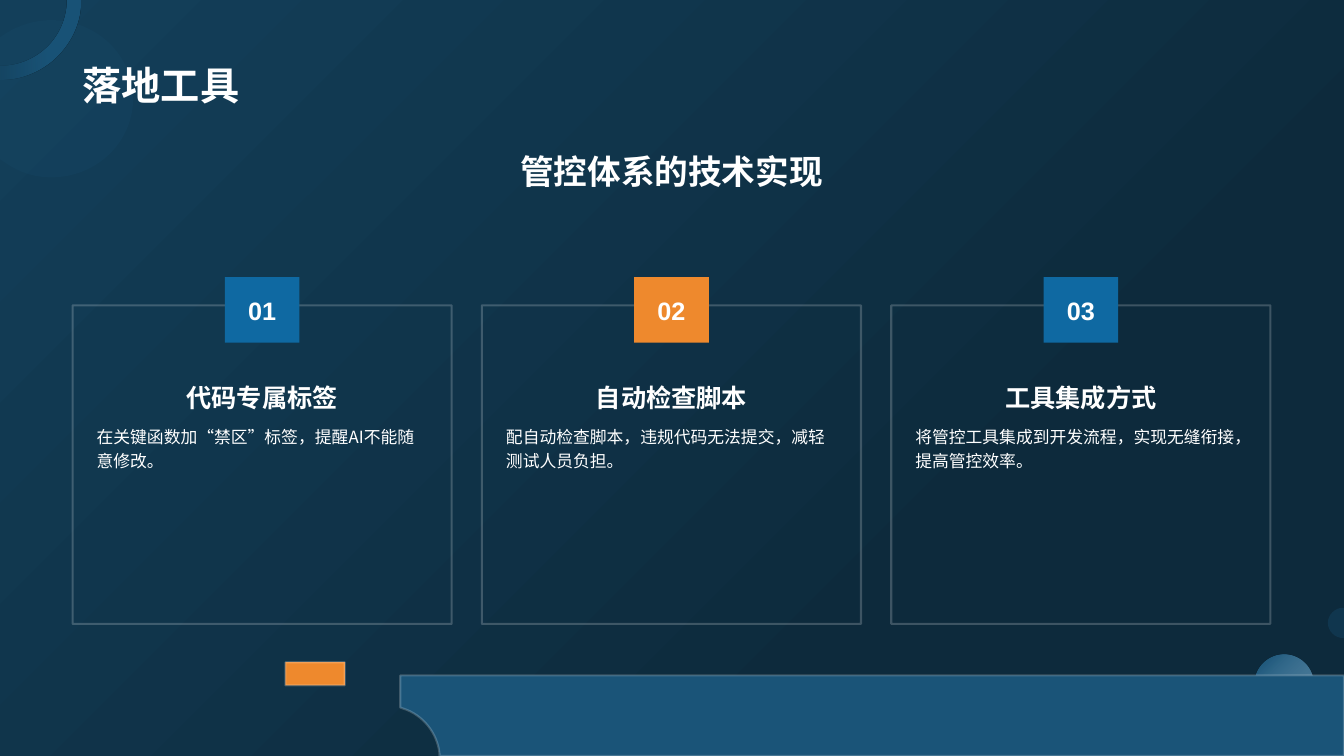
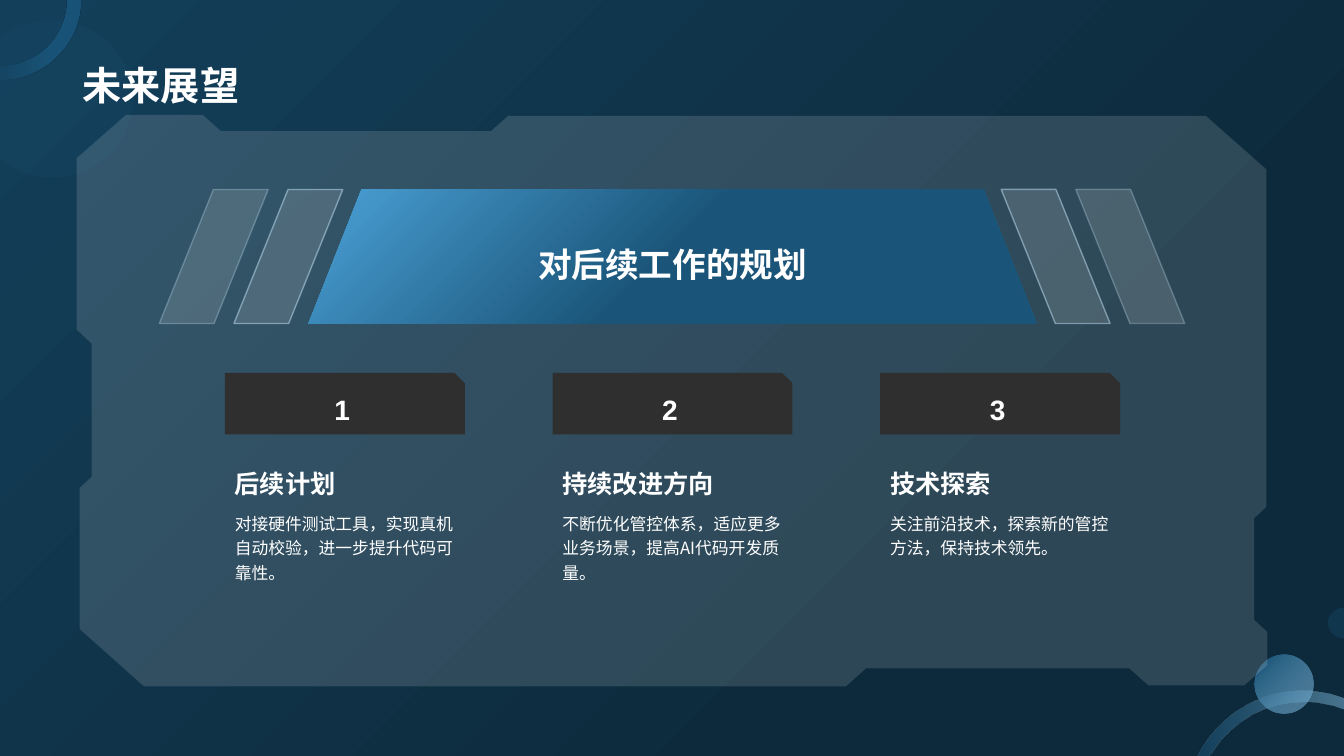
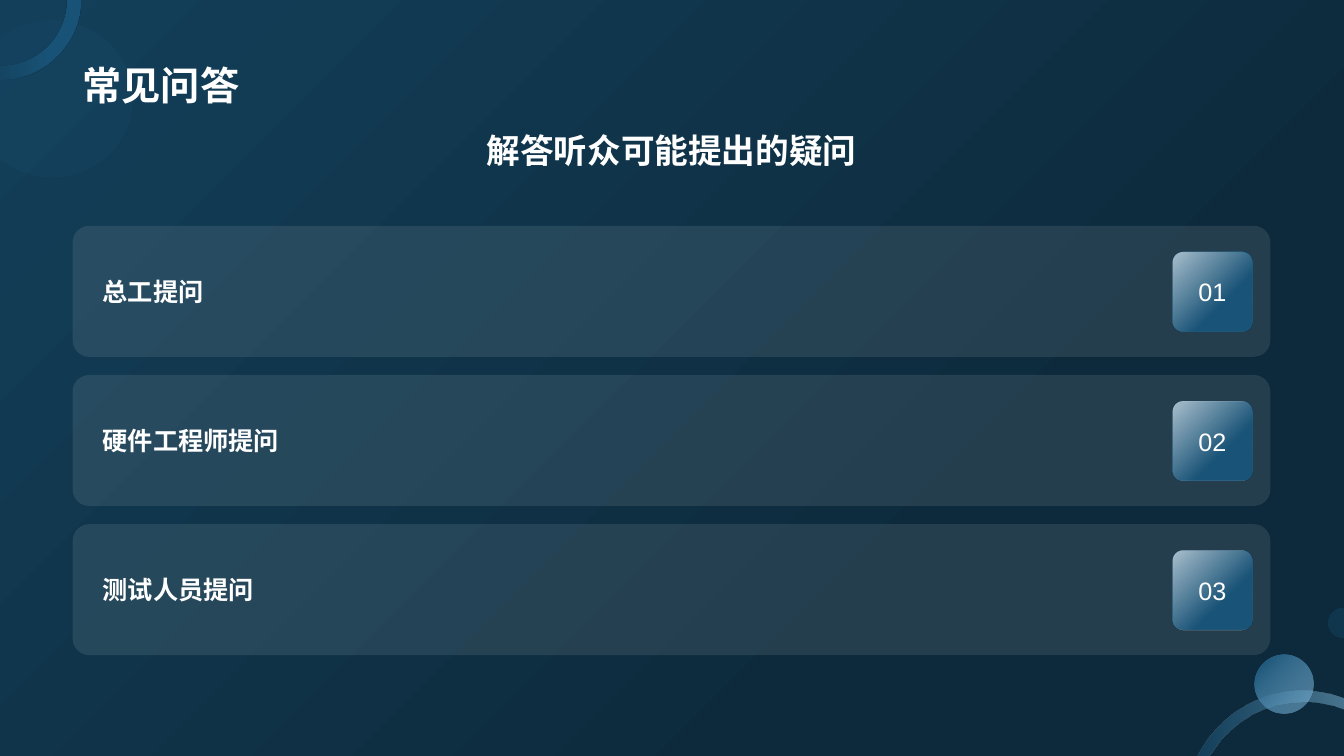
from lxml import etree
from pptx import Presentation
from pptx.dml.color import RGBColor
from pptx.enum.shapes import MSO_SHAPE
from pptx.enum.text import MSO_ANCHOR, MSO_AUTO_SIZE, PP_ALIGN
from pptx.oxml.ns import qn
from pptx.util import Inches, Pt

WHITE = RGBColor(0xFF, 0xFF, 0xFF)
PALE = RGBColor(0xF0, 0xF0, 0xF0)
ICE = RGBColor(0xC2, 0xE4, 0xF9)
SKY = RGBColor(0x87, 0xC1, 0xE5)
AZURE = RGBColor(0x4B, 0xA2, 0xD8)
BLUE = RGBColor(0x0F, 0x69, 0xA2)
STEEL = RGBColor(0x1A, 0x54, 0x78)
NAVY = RGBColor(0x13, 0x3F, 0x5A)
NIGHT = RGBColor(0x0D, 0x2A, 0x3C)
ORANGE = RGBColor(0xEE, 0x89, 0x2D)
COAL = RGBColor(0x2F, 0x2F, 0x2F)

SANS = "Noto Sans CJK SC"
LATIN = "Arial"
LEFT, CENTER = PP_ALIGN.LEFT, PP_ALIGN.CENTER
TOP, MIDDLE, BOTTOM = MSO_ANCHOR.TOP, MSO_ANCHOR.MIDDLE, MSO_ANCHOR.BOTTOM
RECT, ROUND, OVAL = MSO_SHAPE.RECTANGLE, MSO_SHAPE.ROUNDED_RECTANGLE, MSO_SHAPE.OVAL
SNIP, TRAP = MSO_SHAPE.SNIP_1_RECTANGLE, MSO_SHAPE.TRAPEZOID
SLANT = MSO_SHAPE.PARALLELOGRAM

EDGE, WIDE = 0.72, 11.88
FRAME = (WHITE, 1.5, 20)


def paint(shape, *stops, angle=0, line=None):
    """Fill with (position, colour, opacity) stops: none, solid or gradient."""
    shape.shadow.inherit = False
    fill = shape.fill
    if not stops:
        fill.background()
    elif len(stops) == 1:
        fill.solid()
        fill.fore_color.rgb = stops[0][1]
    else:
        fill.gradient()
        fill.gradient_angle = (360 - angle) % 360
        for mark, (pos, color, _) in zip(fill.gradient_stops, stops):
            mark.position = pos / 100
            mark.color.rgb = color
    alphas = [stop[2] for stop in stops]
    if line:
        shape.line.color.rgb = line[0]
        shape.line.width = Pt(line[1])
        alphas.append(line[2])
    else:
        shape.line.fill.background()
    for node, alpha in zip(shape.element.spPr.iter(qn("a:srgbClr")), alphas):
        if alpha < 100:
            etree.SubElement(node, qn("a:alpha"), val=str(alpha * 1000))


def write(shape, text, size, bold=True, align=LEFT, anchor=MIDDLE,
          space=None, face=SANS):
    frame = shape.text_frame
    frame.word_wrap = True
    frame.vertical_anchor = anchor
    frame.text = text
    para = frame.paragraphs[0]
    para.alignment = align
    para.line_spacing = space
    font = para.runs[0].font
    font.name, font.size, font.bold = face, Pt(size), bold
    font.color.rgb = WHITE
    for latin in list(shape.element.iter(qn("a:latin"))):
        latin.addnext(latin.makeelement(qn("a:ea"), typeface=face))


# Deck, background and titles
prs = Presentation()
prs.slide_width, prs.slide_height = Inches(13.33), Inches(7.5)
back = prs.slide_master.background.fill
back.gradient()
back.gradient_angle = 315
for mark, pos, color in zip(back.gradient_stops, (0, 0.72), (NAVY, NIGHT)):
    mark.position = pos
    mark.color.rgb = color

layout = prs.slide_layouts[5]
for holder in list(layout.placeholders):
    if holder.placeholder_format.idx:
        holder.element.getparent().remove(holder.element)
    else:
        holder.left, holder.top = Inches(EDGE), Inches(0.15)
        holder.width, holder.height = Inches(WIDE), Inches(0.98)
        holder.text_frame.auto_size = MSO_AUTO_SIZE.NONE

slides = []
for title in ("落地工具", "未来展望", "常见问答"):
    slide = prs.slides.add_slide(layout)
    write(slide.shapes.title, title, 28, anchor=BOTTOM)
    slides.append(slide)
tools, future, faq = [slide.shapes for slide in slides]

# Outlines: two numbers are a corner, six a Bezier curve
disc = [(0.51, 0.2), (0.96, 0.2, 1.32, 0.55, 1.32, 0.98),
        (1.32, 1.41, 0.96, 1.76, 0.51, 1.76),
        (0.34, 1.76, 0.19, 1.71, 0.06, 1.62), (0, 1.58), (0, 0.37),
        (0.06, 0.33), (0.19, 0.25, 0.34, 0.2, 0.51, 0.2)]
ring = [(0.66, 0), (0.8, 0), (0.8, 0.08), (0.76, 0.48, 0.42, 0.79, 0.01, 0.79),
        (0, 0.79), (0, 0.65), (0.01, 0.65), (0.35, 0.65, 0.63, 0.4, 0.66, 0.06)]
arc = [(12.92, 6.85), (13.05, 6.85, 13.16, 6.87, 13.27, 6.91), (13.33, 6.93),
       (13.33, 7.04), (13.24, 7.01), (13.14, 6.98, 13.03, 6.96, 12.92, 6.96),
       (12.55, 6.96, 12.23, 7.15, 12.04, 7.43), (11.99, 7.5), (11.88, 7.5),
       (11.89, 7.47), (12.09, 7.1, 12.48, 6.85, 12.92, 6.85)]
dot = [(13.32, 6.03), (13.33, 6.03), (13.33, 6.33), (13.32, 6.33),
       (13.24, 6.33, 13.17, 6.26, 13.17, 6.18),
       (13.17, 6.1, 13.24, 6.03, 13.32, 6.03)]
band = [(13.33, 6.7), (3.97, 6.7), (3.97, 7.02), (4, 7.03),
        (4.19, 7.09, 4.34, 7.27, 4.36, 7.48), (4.36, 7.5), (13.33, 7.5)]
panel = [(1.25, 1.14), (2.01, 1.14), (2.19, 1.3), (4.87, 1.3), (5.04, 1.15),
         (11.96, 1.15), (12.56, 1.68), (12.56, 5.03), (12.44, 5.14),
         (12.44, 6.15), (12.57, 6.27), (12.57, 6.6), (12.34, 6.8),
         (11.39, 6.8), (11.2, 6.63), (8.59, 6.63), (8.39, 6.81),
         (1.43, 6.81), (0.79, 6.24), (0.79, 4.84), (0.91, 4.73),
         (0.91, 3.41), (0.76, 3.27), (0.76, 1.57)]

decor = []
for shapes, shared, outline, stops, line in (
        (tools, True, disc, [(0, STEEL, 15)], None),
        (tools, True, ring, [(39, STEEL, 100), (100, STEEL, 15)], None),
        (tools, True, arc, [(0, SKY, 49), (100, STEEL, 50)], None),
        (tools, True, dot, [(0, STEEL, 30)], None),
        (tools, False, band, [(0, STEEL, 100)], FRAME),
        (future, False, panel, [(0, PALE, 15)], None)):
    ends = [(Inches(step[-2]), Inches(step[-1])) for step in outline]
    pen = shapes.build_freeform(*ends[0])
    pen.add_line_segments(ends[1:], close=True)
    shape = pen.convert_to_shape()
    edges = list(shape.element.spPr.iter(qn("a:lnTo")))
    for edge, step in zip(edges, outline[1:]):
        if len(step) == 6:
            edge.tag = qn("a:cubicBezTo")
            for i in (0, 2):
                x, y = Inches(step[i]) - shape.left, Inches(step[i + 1]) - shape.top
                knob = edge.makeelement(qn("a:pt"), x=str(x), y=str(y))
                edge.insert(i // 2, knob)
    paint(shape, *stops, angle=180, line=line)
    if shared:
        decor.append(shape)

ball = tools.add_shape(OVAL, Inches(12.44), Inches(6.49), Inches(0.59), Inches(0.59))
paint(ball, (1, SKY, 50), (91, STEEL, 100), angle=225)
for shape in decor + [ball]:
    layout.shapes.element.append(shape.element)

# Tools: three numbered cards
tag = tools.add_shape(RECT, Inches(2.83), Inches(6.57), Inches(0.59), Inches(0.23))
paint(tag, (0, ORANGE, 100), line=FRAME)
head = tools.add_textbox(Inches(EDGE), Inches(1.23), Inches(WIDE), Inches(0.93))
write(head, "管控体系的技术实现", 24, align=CENTER)

cards = (
    ("代码专属标签", "在关键函数加“禁区”标签，提醒AI不能随意修改。", BLUE),
    ("自动检查脚本", "配自动检查脚本，违规代码无法提交，减轻测试人员负担。", ORANGE),
    ("工具集成方式", "将管控工具集成到开发流程，实现无缝衔接，提高管控效率。", BLUE))
for i, (name, text, color) in enumerate(cards):
    x = EDGE + 4.06 * i
    card = tools.add_shape(RECT, Inches(x), Inches(3.03), Inches(3.76), Inches(3.16))
    paint(card, line=FRAME)
    label = tools.add_textbox(Inches(x + 0.14), Inches(3.4), Inches(3.48), Inches(0.74))
    write(label, name, 18, align=CENTER, anchor=BOTTOM)
    body = tools.add_textbox(Inches(x + 0.14), Inches(4.14), Inches(3.48), Inches(1.82))
    write(body, text, 12, bold=False, anchor=TOP, space=1.2)
    badge = tools.add_shape(RECT, Inches(x + 1.51), Inches(2.75), Inches(0.74), Inches(0.65))
    paint(badge, (0, color, 100))
    write(badge, f"{i + 1:02}", 18, align=CENTER, face=LATIN)

# Future: banner with slanted bars, then three plans
banner = future.add_shape(TRAP, Inches(3.06), Inches(1.88), Inches(7.22), Inches(1.33))
banner.adjustments[0] = 0.395
paint(banner, (0, AZURE, 100), (50, STEEL, 100), angle=45)
write(banner, "对后续工作的规划", 24, align=CENTER, space=1.2)
frame = banner.text_frame
frame.margin_left = frame.margin_right = Inches(0.12)
frame.margin_top = frame.margin_bottom = Inches(0.12)

for x, flip, alpha in ((9.93, True, 50), (10.67, True, 30),
                       (2.32, False, 50), (1.58, False, 30)):
    bar = future.add_shape(SLANT, Inches(x), Inches(1.88), Inches(1.08), Inches(1.33))
    bar.adjustments[0] = 0.497
    paint(bar, (0, PALE, 15), line=(ICE, 1, alpha))
    if flip:
        bar.element.spPr.find(qn("a:xfrm")).set("flipV", "1")

plans = (
    ("后续计划", "对接硬件测试工具，实现真机自动校验，进一步提升代码可靠性。"),
    ("持续改进方向", "不断优化管控体系，适应更多业务场景，提高AI代码开发质量。"),
    ("技术探索", "关注前沿技术，探索新的管控方法，保持技术领先。"))
for i, (name, text) in enumerate(plans):
    x, wide = Inches(2.23 + 3.25 * i), Inches(2.38)
    badge = future.add_shape(SNIP, x, Inches(3.7), wide, Inches(0.61))
    paint(badge, (0, COAL, 100))
    write(badge, str(i + 1), 20, align=CENTER, space=1.2, face=LATIN)
    body = future.add_textbox(x, Inches(5.01), wide, Inches(1.16))
    write(body, text, 12, bold=False, anchor=TOP, space=1.2)
    label = future.add_textbox(x, Inches(4.48), wide, Inches(0.52))
    write(label, name, 18, anchor=BOTTOM, space=1.2)

# Questions: three rows with a number tile
head = faq.add_textbox(Inches(EDGE), Inches(1.24), Inches(WIDE), Inches(0.86))
write(head, "解答听众可能提出的疑问", 24, align=CENTER, anchor=TOP)
for i, name in enumerate(("总工提问", "硬件工程师提问", "测试人员提问")):
    y = 2.24 + 1.48 * i
    row = faq.add_shape(ROUND, Inches(EDGE), Inches(y), Inches(WIDE), Inches(1.3))
    row.adjustments[0] = 0.127
    paint(row, (0, PALE, 10))
    label = faq.add_textbox(Inches(0.92), Inches(y + 0.24), Inches(8.46), Inches(0.82))
    write(label, name, 18)
    for stops in ([(0, WHITE, 100)], [(0, STEEL, 36), (64, STEEL, 100)]):
        tile = faq.add_shape(ROUND, Inches(11.63), Inches(y + 0.26), Inches(0.79), Inches(0.79))
        tile.adjustments[0] = 0.131
        paint(tile, *stops, angle=45)
    write(tile, f"{i + 1:02}", 18, bold=False, align=CENTER, face=LATIN)

prs.save("out.pptx")
